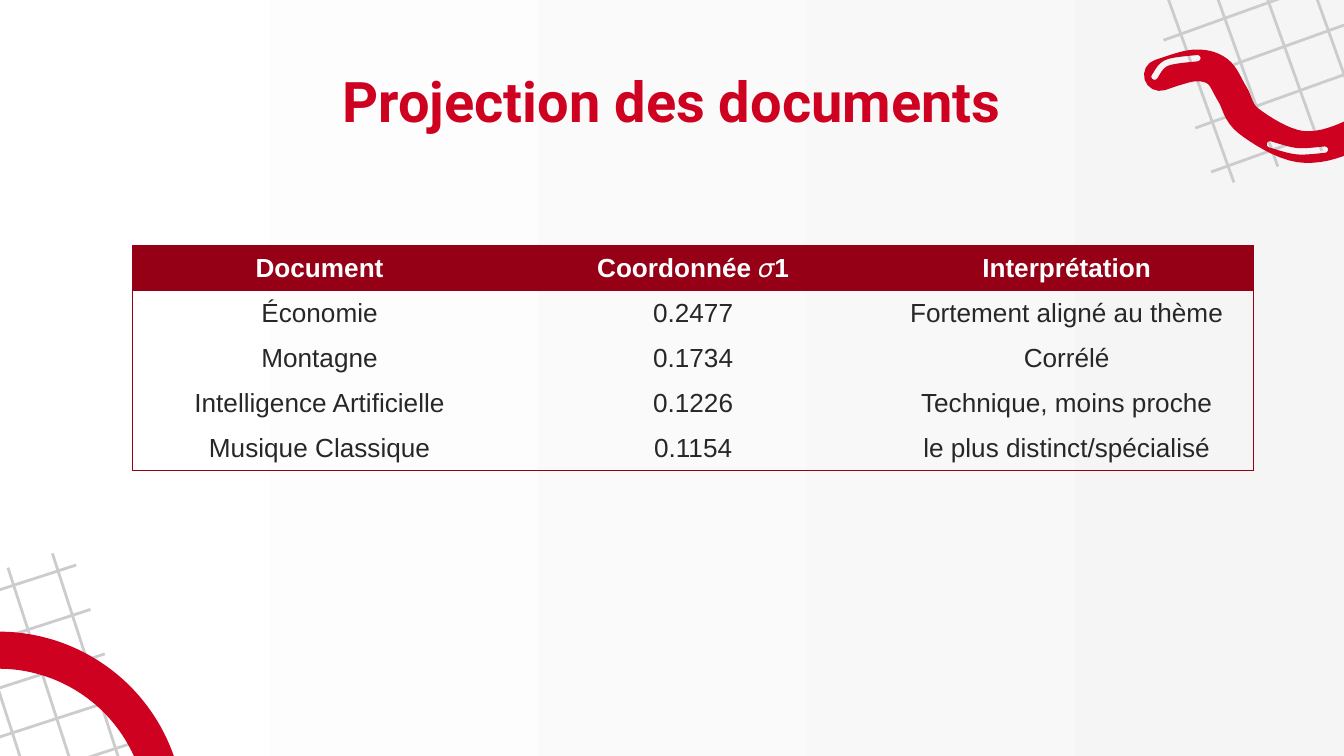
from math import atan2, cos, pi, sin

from lxml.etree import SubElement
from pptx import Presentation
from pptx.dml.color import RGBColor
from pptx.enum.shapes import MSO_CONNECTOR, MSO_SHAPE
from pptx.enum.text import MSO_ANCHOR, MSO_AUTO_SIZE, PP_ALIGN
from pptx.oxml.ns import qn
from pptx.util import Cm, Pt

COLORS = {
    "red": "CE0220",
    "dark_red": "960016",
    "grid": "CCCCCC",
    "text": "272727",
    "white": "FFFFFF",
    "background_end": "F5F5F5",
}


def write_text(text_frame, text, size=14, font="Arial", color="text", bold=False):
    paragraph = text_frame.paragraphs[0]
    paragraph.alignment = PP_ALIGN.CENTER
    run = paragraph.add_run()
    run.text = text
    run.font.size = Pt(size)
    run.font.name = font
    run.font.bold = bold
    run.font.color.rgb = RGBColor.from_string(COLORS[color])


def ribbon_outline(points, radius, steps=8):
    """Outline of a round-ended band around a smooth curve through the points (cm)."""
    padded = [points[0], *points, points[-1]]
    curve = []
    for a, b, c, d in zip(padded, padded[1:], padded[2:], padded[3:]):
        for step in range(steps):
            t = step / steps
            curve.append([b[k] + t / 2 * (c[k] - a[k]
                          + t * (2 * a[k] - 5 * b[k] + 4 * c[k] - d[k])
                          + t * t * (3 * (b[k] - c[k]) + d[k] - a[k])) for k in (0, 1)])
    curve.append(points[-1])
    outline = []
    for side in (curve, curve[::-1]):
        for i, (x, y) in enumerate(side):
            before, after = side[max(i - 1, 0)], side[min(i + 1, len(side) - 1)]
            angle = atan2(after[1] - before[1], after[0] - before[0]) - pi / 2
            turns = range(steps + 1) if i == len(side) - 1 else [0]
            for turn in turns:
                direction = angle + pi * turn / steps
                outline.append((Cm(x + radius * cos(direction)), Cm(y + radius * sin(direction))))
    return outline


presentation = Presentation()
presentation.slide_width = Cm(25.4)
presentation.slide_height = Cm(14.29)
slide = presentation.slides.add_slide(presentation.slide_layouts[5])
shapes = slide.shapes

# Background gradient, left to right
background = slide.background.fill
background.gradient()
background.gradient_angle = 0
for stop, position, color in zip(background.gradient_stops, (0, 1), ("white", "background_end")):
    stop.position = position
    stop.color.rgb = RGBColor.from_string(COLORS[color])

# Tilted grids in two corners: first start, length, step between lines, count (cm)
line_sets = [
    ((19.23, -7.98), (4.09, 11.43), (0.83, -0.30), 4),
    ((22.89, 3.25), (11.43, -4.1), (-0.30, -0.83), 4),
    ((-0.69, 11), (3.74, 11.56), (0.84, -0.27), 3),
    ((-9.04, 17.78), (11.56, -3.74), (-0.27, -0.84), 5),
]
for (left, top), (run_x, run_y), (step_x, step_y), count in line_sets:
    for i in range(count):
        x, y = left + i * step_x, top + i * step_y
        line = shapes.add_connector(MSO_CONNECTOR.STRAIGHT, Cm(x), Cm(y), Cm(x + run_x), Cm(y + run_y))
        line.line.color.rgb = RGBColor.from_string(COLORS["grid"])
        line.line.width = Pt(1.5)
        SubElement(line._element.spPr, qn("a:effectLst"))

# Title
title = shapes.title
title.left, title.top, title.width, title.height = Cm(2.11), Cm(1.09), Cm(21.18), Cm(1.6)
frame = title.text_frame
frame.word_wrap = True
frame.auto_size = MSO_AUTO_SIZE.NONE
frame.vertical_anchor = MSO_ANCHOR.MIDDLE
frame.margin_left = frame.margin_right = frame.margin_top = frame.margin_bottom = Cm(0.25)
write_text(frame, "Projection des documents", size=30, font="Roboto", color="red", bold=True)

# Red ring, bottom left
ring = shapes.add_shape(MSO_SHAPE.DONUT, Cm(-3.53), Cm(11.94), Cm(7.01), Cm(7.01))
ring.adjustments[0] = 0.1

# Red wave with two cut-out highlights, top right: centre line and radius
wave_bands = [
    ([(21.92, 1.42), (22.56, 1.24), (23.01, 1.35), (23.29, 1.78), (23.6, 2.29), (24.56, 2.77),
      (25.53, 2.57), (26.39, 1.91), (27.25, 1.27), (28.17, 1.04), (28.75, 1.27), (28.68, 2.29),
      (29.34, 2.72), (30, 2.34), (30.15, 1.47)], 0.3),
    ([(21.82, 1.45), (22.05, 1.19), (22.63, 1.1)], 0.06),
    ([(24, 2.73), (24.51, 2.86), (25.04, 2.83)], 0.06),
]
band, *highlights = [ribbon_outline(points, radius) for points, radius in wave_bands]
builder = shapes.build_freeform(*band[0])
builder.add_line_segments(band[1:], close=True)
for highlight in highlights:
    builder.move_to(*highlight[0])
    builder.add_line_segments(highlight[1:], close=True)
wave = builder.convert_to_shape()

for shape in (ring, wave):
    shape.shadow.inherit = False
    shape.fill.solid()
    shape.fill.fore_color.rgb = RGBColor.from_string(COLORS["red"])
    shape.line.fill.background()

# Table with a dark red header and an outer border only
rows = [
    ("Document", "Coordonnée 𝜎1", "Interprétation"),
    ("Économie", "0.2477", "Fortement aligné au thème"),
    ("Montagne", "0.1734", "Corrélé"),
    ("Intelligence Artificielle", "0.1226", "Technique, moins proche"),
    ("Musique Classique", "0.1154", "le plus distinct/spécialisé"),
]
last_row, last_column = len(rows) - 1, len(rows[0]) - 1
table = shapes.add_table(len(rows), len(rows[0]), Cm(2.51), Cm(4.65), Cm(21.18), Cm(4.25)).table
table.first_row = True
table.horz_banding = False
for row_index, row in enumerate(rows):
    is_header = row_index == 0
    for column_index, text in enumerate(row):
        cell = table.cell(row_index, column_index)
        cell.vertical_anchor = MSO_ANCHOR.MIDDLE
        write_text(cell.text_frame, text, color="white" if is_header else "text", bold=is_header)
        borders = {
            "a:lnL": column_index == 0,
            "a:lnR": column_index == last_column,
            "a:lnT": is_header,
            "a:lnB": row_index == last_row,
        }
        properties = cell._tc.get_or_add_tcPr()
        for tag, is_outer in borders.items():
            border = SubElement(properties, qn(tag), w=str(Pt(0.75)))
            if is_outer:
                fill = SubElement(border, qn("a:solidFill"))
                SubElement(fill, qn("a:srgbClr"), val=COLORS["dark_red"])
            else:
                SubElement(border, qn("a:noFill"))
        if is_header:
            cell.fill.solid()
            cell.fill.fore_color.rgb = RGBColor.from_string(COLORS["dark_red"])
        else:
            cell.fill.background()

presentation.save("out.pptx")
